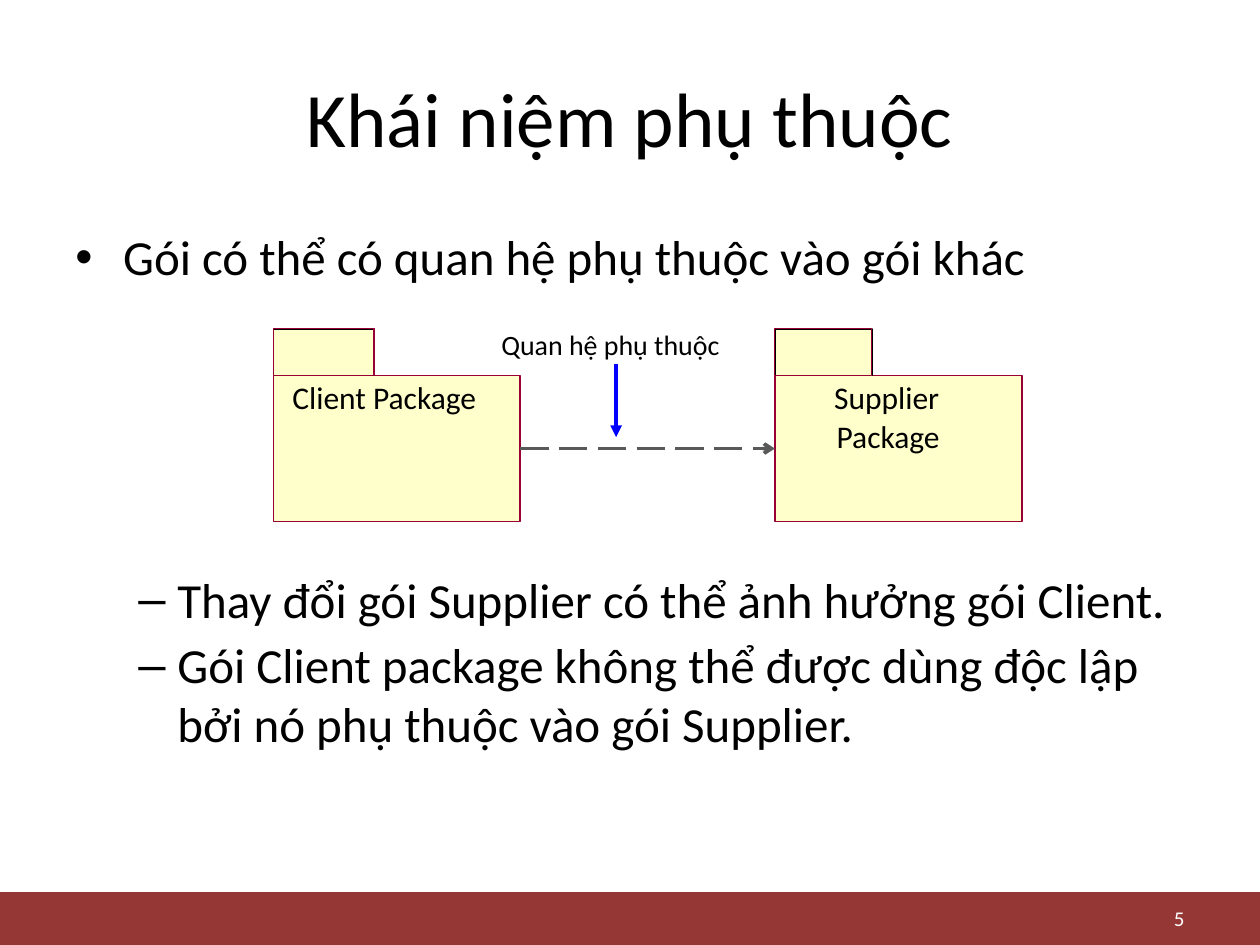
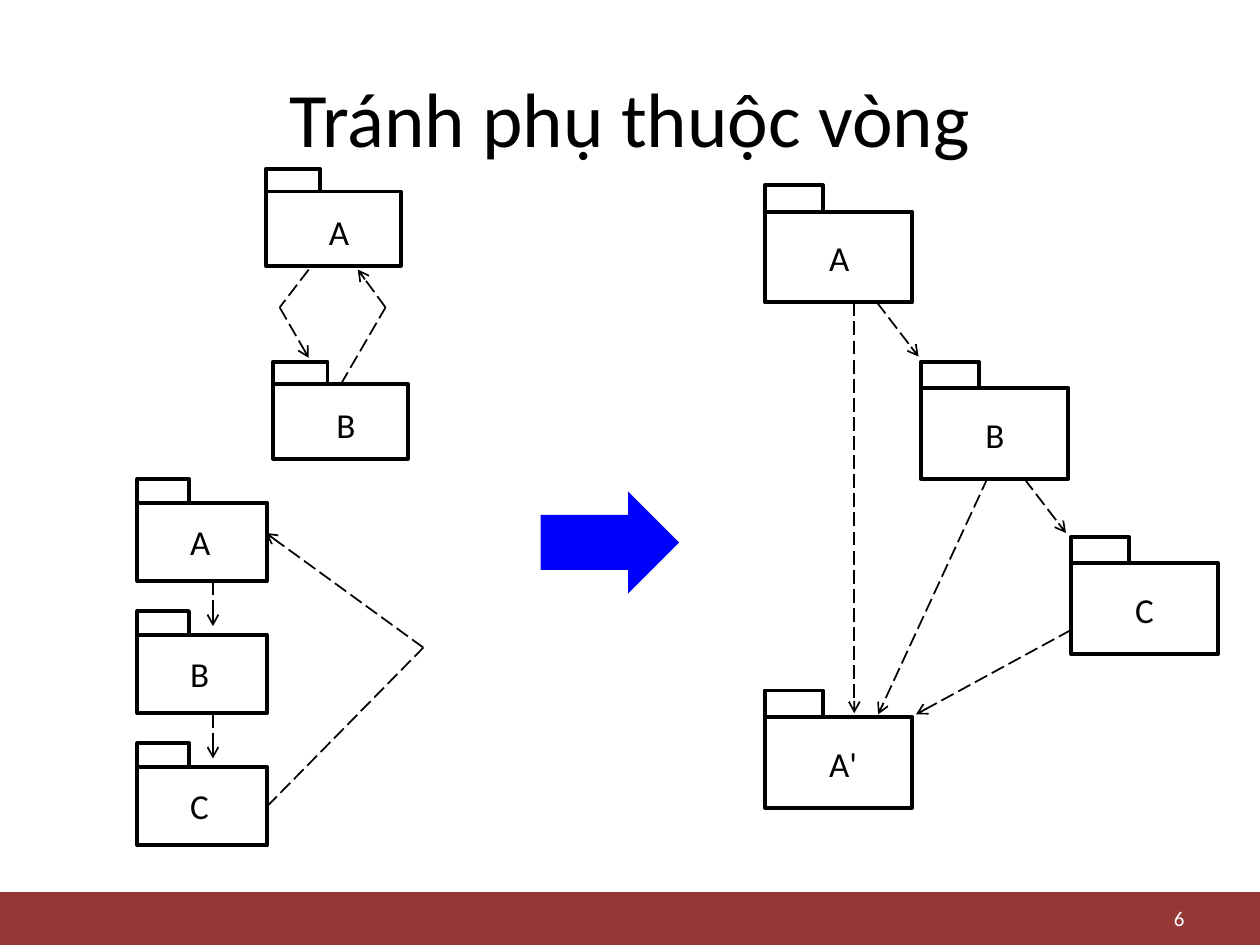
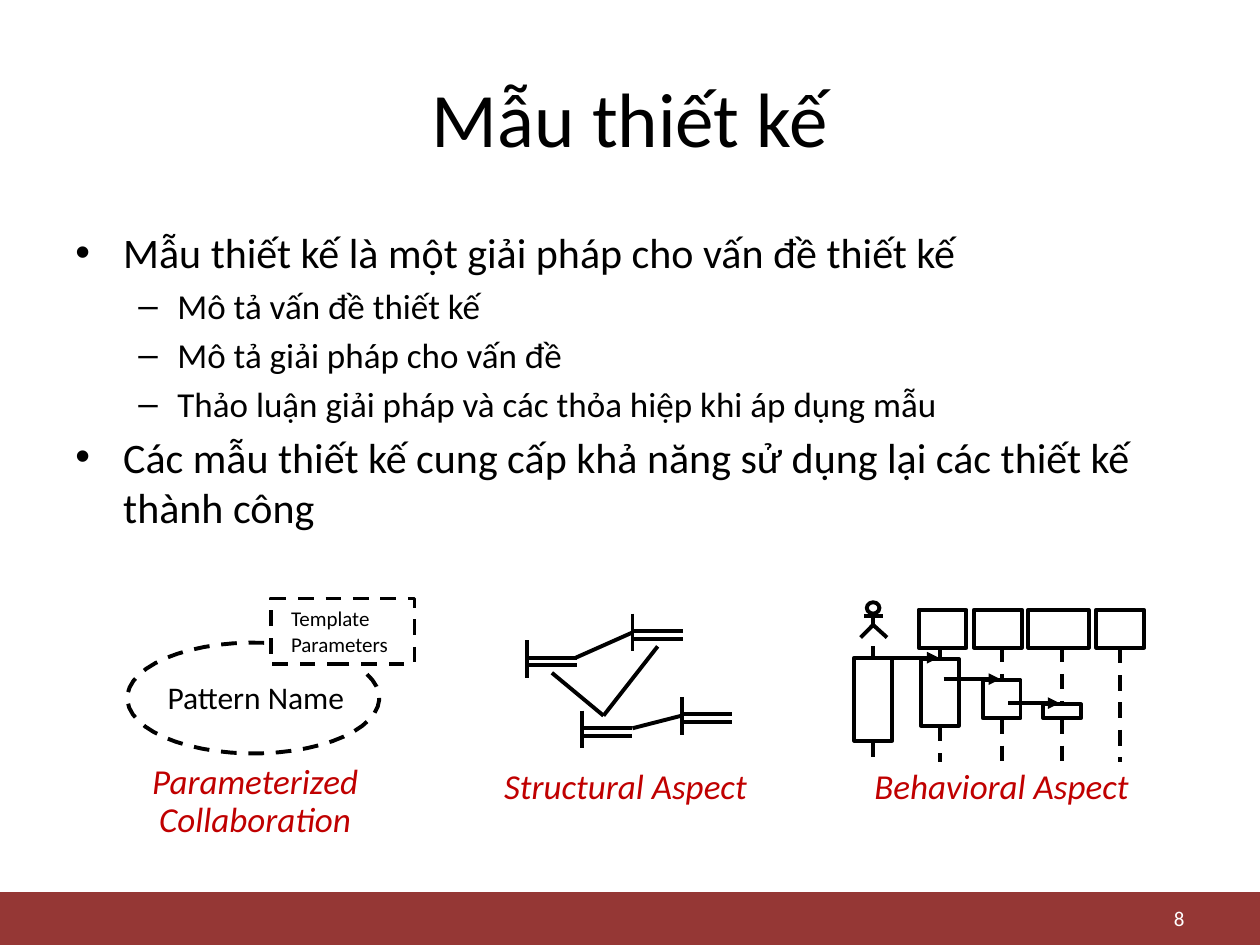
from dataclasses import dataclass
from math import cos, radians, sin
from typing import NamedTuple, Optional

from lxml.etree import SubElement
from pptx import Presentation
from pptx.dml.color import RGBColor
from pptx.enum.dml import MSO_LINE
from pptx.enum.shapes import MSO_CONNECTOR, MSO_SHAPE
from pptx.enum.text import MSO_ANCHOR, PP_ALIGN
from pptx.oxml.ns import qn
from pptx.util import Inches, Pt

FONT = "Calibri"
BLACK = "000000"
WHITE = "FFFFFF"
BAND_RED = "953735"
CAPTION_RED = "C00000"
CRIMSON = "990033"
CREAM = "FFFFCC"
BLUE = "0000FF"
GRAY = "595959"

TOP, LEFT, BOTTOM, RIGHT = range(4)


class Box(NamedTuple):
    left: float
    top: float
    width: float
    height: float


class Point(NamedTuple):
    x: float
    y: float


class Joint(NamedTuple):
    shape: object
    side: int


class Bullet(NamedTuple):
    text: str
    size: int
    level: int = 0
    space_before: int = 4


class Activation(NamedTuple):
    center: float
    top: float
    height: float


@dataclass(frozen=True)
class Stroke:
    color: str = BLACK
    width: float = 2.25
    dash: Optional[MSO_LINE] = None


@dataclass(frozen=True)
class PackageStyle:
    width: float
    height: float
    tab_width: float
    tab_height: float
    label_x: float
    label_y: float
    label_width: float = 0.3
    label_size: int = 20
    fill: Optional[str] = None
    body_stroke: Stroke = Stroke()
    tab_stroke: Stroke = Stroke()


SOLID = Stroke()
DASHED = Stroke(dash=MSO_LINE.DASH)
DEPENDENCY = Stroke(width=1, dash=MSO_LINE.LONG_DASH)
HAIRLINE = Stroke(CRIMSON, 0)

COLORED = dict(label_size=18, fill=CREAM, body_stroke=Stroke(CRIMSON, 1), tab_stroke=Stroke(BLACK, 1))
CLIENT = PackageStyle(1.96, 1.16, 0.8, 0.37, 0.15, 0.02, 1.79, **COLORED)
SUPPLIER = PackageStyle(1.96, 1.16, 0.77, 0.37, 0.47, 0.02, 1.1, **COLORED)
SMALL = PackageStyle(1.03, 0.62, 0.41, 0.19, 0.42, 0.14)
MEDIUM = PackageStyle(1.07, 0.59, 0.43, 0.18, 0.5, 0.15)
LARGE = PackageStyle(1.17, 0.72, 0.46, 0.21, 0.51, 0.2)

BULLET_MARKS = (("•", 0.38, 0.38), ("–", 0.81, 0.31))


def rgb(color: str) -> RGBColor:
    return RGBColor.from_string(color)


def apply_stroke(line, stroke: Stroke) -> None:
    line.color.rgb = rgb(stroke.color)
    line.width = Pt(stroke.width)
    if stroke.dash is not None:
        line.dash_style = stroke.dash


def style_shape(shape, fill: Optional[str], stroke: Optional[Stroke]) -> None:
    shape.shadow.inherit = False
    if fill:
        shape.fill.solid()
        shape.fill.fore_color.rgb = rgb(fill)
    else:
        shape.fill.background()
    if stroke:
        apply_stroke(shape.line, stroke)
    else:
        shape.line.fill.background()


def add_figure(shapes, box: Box, fill: Optional[str] = None, stroke: Optional[Stroke] = SOLID,
               kind: MSO_SHAPE = MSO_SHAPE.RECTANGLE):
    shape = shapes.add_shape(kind, *map(Inches, box))
    style_shape(shape, fill, stroke)
    return shape


def add_outline(shapes, points: list[Point], stroke: Stroke) -> None:
    start, *rest = [(Inches(x), Inches(y)) for x, y in points]
    builder = shapes.build_freeform(*start)
    builder.add_line_segments(rest, close=False)
    style_shape(builder.convert_to_shape(), None, stroke)


def add_line(shapes, start: Point, end: Point, stroke: Stroke = SOLID, tip: Optional[str] = None,
             begin_at: Optional[Joint] = None, end_at: Optional[Joint] = None) -> None:
    connector = shapes.add_connector(MSO_CONNECTOR.STRAIGHT, *map(Inches, (*start, *end)))
    apply_stroke(connector.line, stroke)
    if tip:
        SubElement(connector.line._get_or_add_ln(), qn("a:tailEnd"), type=tip)
    SubElement(connector.element.spPr, qn("a:effectLst"))
    if begin_at:
        connector.begin_connect(*begin_at)
    if end_at:
        connector.end_connect(*end_at)


def add_frame(shapes, box: Box, inset: Point = Point(0.1, 0.05), anchor: MSO_ANCHOR = MSO_ANCHOR.TOP):
    frame = shapes.add_textbox(*map(Inches, box)).text_frame
    frame.word_wrap = True
    frame.vertical_anchor = anchor
    frame.margin_left = frame.margin_right = Inches(inset.x)
    frame.margin_top = frame.margin_bottom = Inches(inset.y)
    return frame


def set_font(paragraph, size: int, color: str = BLACK, italic: bool = False) -> None:
    font = paragraph.font
    font.name = FONT
    font.size = Pt(size)
    font.color.rgb = rgb(color)
    if italic:
        font.italic = True


def add_text(shapes, text: str, box: Box, size: int, color: str = BLACK,
             align: PP_ALIGN = PP_ALIGN.LEFT, italic: bool = False, spacing: Optional[float] = None,
             inset: Point = Point(0.1, 0.05), anchor: MSO_ANCHOR = MSO_ANCHOR.TOP) -> None:
    paragraph = add_frame(shapes, box, inset, anchor).paragraphs[0]
    paragraph.text = text
    paragraph.alignment = align
    paragraph.line_spacing = spacing
    set_font(paragraph, size, color, italic)


def add_label(shapes, text: str, left: float, top: float, style: PackageStyle) -> None:
    add_text(shapes, text, Box(left, top, style.label_width, 0.35), style.label_size, inset=Point(0, 0))


def add_body(slide, bullets: list[Bullet]) -> None:
    frame = add_frame(slide.shapes, Box(0.5, 1.75, 9, 4.95))
    for index, bullet in enumerate(bullets):
        paragraph = frame.add_paragraph() if index else frame.paragraphs[0]
        paragraph.text = bullet.text
        paragraph.level = bullet.level
        paragraph.space_before = Pt(bullet.space_before)
        mark, margin, hanging = BULLET_MARKS[bullet.level]
        properties = paragraph._p.get_or_add_pPr()
        properties.set("marL", str(Inches(margin)))
        properties.set("indent", str(-Inches(hanging)))
        SubElement(properties, qn("a:buFont"), typeface="Arial")
        SubElement(properties, qn("a:buChar"), char=mark)
        set_font(paragraph, bullet.size)


def add_package(shapes, name: str, left: float, top: float, style: PackageStyle):
    body = add_figure(shapes, Box(left, top, style.width, style.height), style.fill, style.body_stroke)
    tab = Box(left, top - style.tab_height, style.tab_width, style.tab_height)
    add_figure(shapes, tab, style.fill, style.tab_stroke)
    if style.fill:
        add_figure(shapes, tab, stroke=HAIRLINE)
    add_label(shapes, name, left + style.label_x, top + style.label_y, style)
    return body


def add_titled_slide(presentation, title: str, number: int):
    slide = presentation.slides.add_slide(presentation.slide_layouts[6])
    add_figure(slide.shapes, Box(0, 7.08, 10, 0.42), BAND_RED, None)
    add_text(slide.shapes, title, Box(0.5, 0.3, 9, 1.25), 44,
             align=PP_ALIGN.CENTER, anchor=MSO_ANCHOR.MIDDLE)
    add_text(slide.shapes, str(number), Box(7.17, 7.15, 2.33, 0.27), 12, WHITE,
             align=PP_ALIGN.RIGHT, anchor=MSO_ANCHOR.MIDDLE)
    return slide


def build_dependency_slide(presentation) -> None:
    slide = add_titled_slide(presentation, "Khái niệm phụ thuộc", 5)
    shapes = slide.shapes
    add_body(slide, [
        Bullet("Gói có thể có quan hệ phụ thuộc vào gói khác", 28),
        Bullet("Thay đổi gói Supplier có thể ảnh hưởng gói Client.", 28, 1, 162),
        Bullet("Gói Client package không thể được dùng độc lập bởi nó phụ thuộc vào gói Supplier.", 28, 1),
    ])
    client = add_package(shapes, "Client Package", 2.17, 2.98, CLIENT)
    supplier = add_package(shapes, "Supplier", 6.15, 2.98, SUPPLIER)
    add_label(shapes, "Package", 6.64, 3.31, SUPPLIER)
    add_line(shapes, Point(4.13, 3.55), Point(6.15, 3.55), Stroke(GRAY, 2, MSO_LINE.LONG_DASH), "arrow",
             Joint(client, RIGHT), Joint(supplier, LEFT))
    add_text(shapes, "Quan hệ phụ thuộc", Box(3.47, 2.55, 2.75, 0.37), 16, align=PP_ALIGN.CENTER)
    add_line(shapes, Point(4.89, 2.89), Point(4.89, 3.47), Stroke(BLUE), "triangle")


def build_cycle_slide(presentation) -> None:
    shapes = add_titled_slide(presentation, "Tránh phụ thuộc vòng", 6).shapes

    stack = [add_package(shapes, name, 1.09, 3.99 + 1.05 * row, SMALL) for row, name in enumerate("ABC")]
    add_package(shapes, "A", 2.11, 1.52, MEDIUM)
    pair_b = add_package(shapes, "B", 2.17, 3.05, MEDIUM)
    for name, left, top in (("A", 6.07, 1.68), ("B", 7.31, 3.08), ("C", 8.5, 4.47), ("A'", 6.07, 5.69)):
        add_package(shapes, name, left, top, LARGE)

    stack_bend, left_bend, right_bend = Point(3.36, 5.14), Point(2.22, 2.44), Point(3.06, 2.44)
    add_line(shapes, Point(2.12, 6.4), stack_bend, DEPENDENCY, begin_at=Joint(stack[-1], RIGHT))
    add_line(shapes, Point(2.45, 2.14), left_bend, DEPENDENCY)
    add_line(shapes, Point(2.71, 3.05), right_bend, DEPENDENCY, begin_at=Joint(pair_b, TOP))
    arrows = [
        (Point(1.69, 4.61), Point(1.69, 4.97)),
        (Point(1.69, 5.67), Point(1.69, 6.02)),
        (stack_bend, Point(2.11, 4.23)),
        (left_bend, Point(2.45, 2.84)),
        (right_bend, Point(2.84, 2.14)),
        (Point(6.78, 2.4), Point(6.78, 5.66)),
        (Point(6.96, 2.4), Point(7.29, 2.83)),
        (Point(8.5, 5), Point(7.27, 5.67)),
        (Point(7.84, 3.79), Point(6.97, 5.67)),
        (Point(8.13, 3.8), Point(8.46, 4.23)),
    ]
    for start, end in arrows:
        add_line(shapes, start, end, DEPENDENCY, "arrow")

    block_arrow = add_figure(shapes, Box(4.29, 3.9, 1.1, 0.81), BLUE, None, MSO_SHAPE.RIGHT_ARROW)
    block_arrow.adjustments[0] = 0.54
    block_arrow.adjustments[1] = 0.5


def draw_collaboration(shapes) -> None:
    add_text(shapes, "Pattern Name", Box(1.22, 5.33, 1.62, 0.4), 18,
             align=PP_ALIGN.CENTER, inset=Point(0, 0.05))
    add_figure(shapes, Box(2.15, 4.75, 1.14, 0.52), stroke=DASHED)
    add_text(shapes, "Template\nParameters", Box(2.19, 4.75, 1.13, 0.52), 12, inset=Point(0.12, 0.06))
    angles = [radians(degrees) for degrees in range(85, 394, 7)]
    add_outline(shapes, [Point(2.01 + cos(angle), 5.54 - 0.44 * sin(angle)) for angle in angles], DASHED)


def draw_structure(shapes) -> None:
    for left, top in ((4.18, 5.08), (5.02, 4.87), (4.62, 5.64), (5.41, 5.53)):
        add_line(shapes, Point(left, top), Point(left, top + 0.3))
        for drop in (0.14, 0.2):
            add_line(shapes, Point(left, top + drop), Point(left + 0.4, top + drop))
    hub = Point(4.79, 5.68)
    links = [
        (hub, Point(4.38, 5.34)),
        (hub, Point(5.22, 5.13)),
        (Point(4.57, 5.22), Point(5.02, 5.02)),
        (Point(5.02, 5.78), Point(5.41, 5.68)),
    ]
    for start, end in links:
        add_line(shapes, start, end)


def draw_behavior(shapes) -> None:
    add_figure(shapes, Box(6.88, 4.78, 0.1, 0.09), kind=MSO_SHAPE.OVAL)
    add_line(shapes, Point(6.93, 4.87), Point(6.93, 4.96))
    add_line(shapes, Point(6.86, 4.89), Point(7.01, 4.89))
    add_outline(shapes, [Point(6.83, 5.06), Point(6.93, 4.96), Point(7.04, 5.06)], SOLID)

    heads = [add_figure(shapes, Box(left, 4.84, width, 0.3))
             for left, width in ((7.29, 0.38), (7.73, 0.38), (8.16, 0.48), (8.7, 0.38))]
    lifeline_top, lifeline_bottom = 5.13, 6.05
    activations = [
        Activation(6.93, 5.22, 0.66),
        Activation(7.46, 5.23, 0.53),
        Activation(7.95, 5.4, 0.3),
        Activation(8.43, 5.59, 0.11),
    ]
    for center, top, height in activations:
        bar = add_figure(shapes, Box(center - 0.15, top, 0.3, height))
        add_line(shapes, Point(center, lifeline_top), Point(center, top), DASHED, end_at=Joint(bar, TOP))
        add_line(shapes, Point(center, top + height), Point(center, lifeline_bottom), DASHED,
                 begin_at=Joint(bar, BOTTOM))
    add_line(shapes, Point(8.89, 5.14), Point(8.89, lifeline_bottom), DASHED,
             begin_at=Joint(heads[-1], BOTTOM))

    for start, end, y in ((6.92, 7.45, 5.22), (7.49, 7.94, 5.39), (8, 8.41, 5.58)):
        add_line(shapes, Point(start, y), Point(end, y), tip="triangle")


def build_pattern_slide(presentation) -> None:
    slide = add_titled_slide(presentation, "Mẫu thiết kế", 8)
    add_body(slide, [
        Bullet("Mẫu thiết kế là một giải pháp cho vấn đề thiết kế", 24),
        Bullet("Mô tả vấn đề thiết kế", 20, 1),
        Bullet("Mô tả giải pháp cho vấn đề", 20, 1),
        Bullet("Thảo luận giải pháp và các thỏa hiệp khi áp dụng mẫu", 20, 1),
        Bullet("Các mẫu thiết kế cung cấp khả năng sử dụng lại các thiết kế thành công", 24),
    ])
    for draw in (draw_structure, draw_collaboration, draw_behavior):
        draw(slide.shapes.add_group_shape().shapes)
    captions = [
        ("Structural Aspect", Box(3.8, 6.02, 2.33, 0.43), None),
        ("Behavioral Aspect", Box(6.61, 6.02, 2.68, 0.43), None),
        ("Parameterized\nCollaboration", Box(0.88, 6.02, 2.29, 0.7), 0.9),
    ]
    for text, box, spacing in captions:
        add_text(slide.shapes, text, box, 20, CAPTION_RED, PP_ALIGN.CENTER, True, spacing)


def main() -> None:
    presentation = Presentation()
    presentation.slide_width = Inches(10)
    presentation.slide_height = Inches(7.5)
    build_dependency_slide(presentation)
    build_cycle_slide(presentation)
    build_pattern_slide(presentation)
    presentation.save("out.pptx")


if __name__ == "__main__":
    main()
